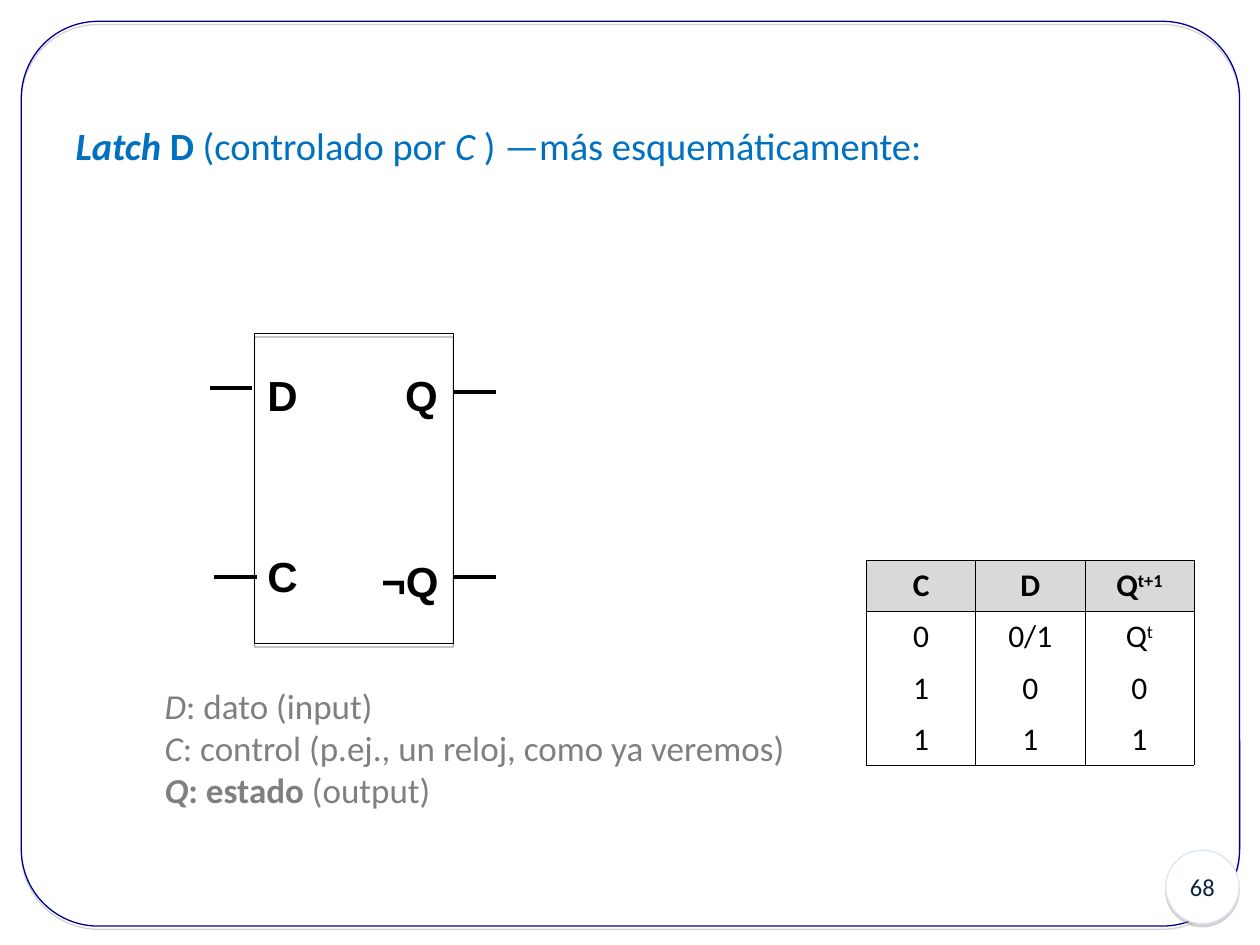
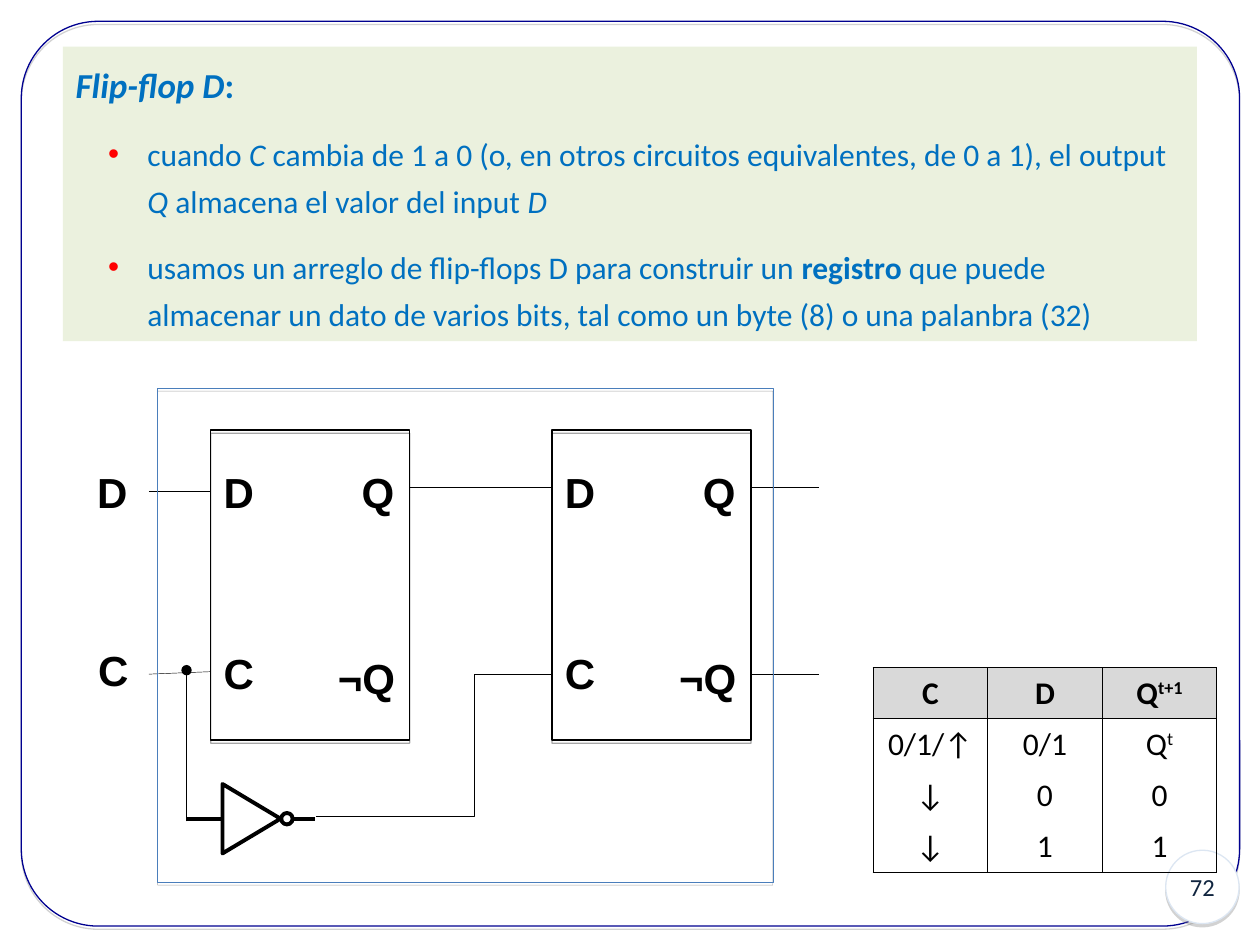
from dataclasses import dataclass

from lxml import etree
from pptx import Presentation
from pptx.dml.color import RGBColor
from pptx.enum.shapes import MSO_CONNECTOR, MSO_SHAPE
from pptx.enum.text import MSO_ANCHOR, MSO_AUTO_SIZE, PP_ALIGN
from pptx.oxml.ns import qn
from pptx.util import Cm, Pt

STRAIGHT, ELBOW = MSO_CONNECTOR.STRAIGHT, MSO_CONNECTOR.ELBOW
RECT, ROUND_RECT = MSO_SHAPE.RECTANGLE, MSO_SHAPE.ROUNDED_RECTANGLE
OVAL, TRIANGLE = MSO_SHAPE.OVAL, MSO_SHAPE.ISOSCELES_TRIANGLE
LEFT, CENTER = PP_ALIGN.LEFT, PP_ALIGN.CENTER
TOP, MIDDLE, BOTTOM = MSO_ANCHOR.TOP, MSO_ANCHOR.MIDDLE, MSO_ANCHOR.BOTTOM
NO_FIT, GROW = MSO_AUTO_SIZE.NONE, MSO_AUTO_SIZE.SHAPE_TO_FIT_TEXT


@dataclass(frozen=True)
class Theme:
    body_font: str = "Calibri"
    label_font: str = "Arial"
    black: str = "000000"
    white: str = "FFFFFF"
    blue: str = "0070C0"
    gray: str = "7F7F7F"
    frame: str = "000090"
    badge_line: str = "DCE6F2"
    badge_text: str = "10253F"
    panel: str = "EBF1DE"
    bullet: str = "FF0000"
    header: str = "D9D9D9"
    outline: str = "4A7EBB"
    soft_shadow: str = "808080"
    title_size: float = 22
    heading_size: float = 20
    text_size: float = 18
    label_size: float = 24
    badge_size: float = 14
    line_spacing: float = 1.25
    hairline: float = 0.25
    border: float = 0.45
    thin: float = 0.75
    stub: float = 2
    thick: float = 2.25


T = Theme()
LATCH_W, LATCH_H = 4.01, 6.25


def rgb(value):
    return RGBColor.from_string(value)


def sub(parent, tag, **attrs):
    return etree.SubElement(parent, qn(tag), attrs)


def add_runs(p, runs, size, color, font=T.body_font):
    for text, style in runs:
        r = p.add_run()
        r.text = text
        r.font.name, r.font.size = font, Pt(size)
        r.font.color.rgb = rgb(color)
        r.font.bold, r.font.italic = "b" in style, "i" in style
        if "^" in style:
            r.font._element.set("baseline", "30000")


def add_shadow(sp, color):
    effects = sp._element.spPr.find(qn("a:effectLst"))
    shadow = sub(effects, "a:outerShdw", blurRad="0", dist=str(Pt(1.8)),
                 dir="5400000", rotWithShape="0")
    sub(sub(shadow, "a:srgbClr", val=color), "a:alpha", val="35000")


def add_shape(shapes, kind, box, line=None, width=T.thin, fill=None, shadow=None):
    sp = shapes.add_shape(kind, *map(Cm, box))
    sp.shadow.inherit = False
    if fill:
        sp.fill.solid()
        sp.fill.fore_color.rgb = rgb(fill)
    else:
        sp.fill.background()
    if line:
        sp.line.color.rgb = rgb(line)
        sp.line.width = Pt(width)
    else:
        sp.line.fill.background()
    if shadow:
        add_shadow(sp, shadow)
    return sp


def add_wire(shapes, x1, y1, x2, y2, width=T.hairline, kind=STRAIGHT):
    wire = shapes.add_connector(kind, Cm(x1), Cm(y1), Cm(x2), Cm(y2))
    wire.line.color.rgb = rgb(T.black)
    wire.line.width = Pt(width)
    sub(wire._element.spPr, "a:effectLst")
    return wire


def add_label(shapes, text, x, y, w):
    tf = shapes.add_textbox(Cm(x), Cm(y), Cm(w), Cm(1.28)).text_frame
    tf.word_wrap = True
    tf.auto_size = GROW
    tf.margin_right = 0
    add_runs(tf.paragraphs[0], [(text, "b")], T.label_size, T.black, T.label_font)


def add_frame(s, number):
    frame = add_shape(s.shapes, ROUND_RECT, (0.43, 0.43, 24.56, 18.24), T.frame,
                      shadow=T.soft_shadow)
    frame.adjustments[0] = 0.085
    badge = add_shape(s.shapes, OVAL, (23.5, 17.14, 1.48, 1.48), T.badge_line,
                      fill=T.white, shadow=T.soft_shadow)
    tf = badge.text_frame
    tf.vertical_anchor = MIDDLE
    tf.paragraphs[0].alignment = CENTER
    add_runs(tf.paragraphs[0], [(number, "")], T.badge_size, T.badge_text)


def set_title(s, runs, box, size, anchor):
    title = s.shapes.title
    title.left, title.top, title.width, title.height = map(Cm, box)
    tf = title.text_frame
    tf.word_wrap = True
    tf.auto_size = NO_FIT
    tf.vertical_anchor = anchor
    p = tf.paragraphs[0]
    p.alignment, p.line_spacing = LEFT, T.line_spacing
    add_runs(p, runs, size, T.blue)


def add_panel(s, box, bullets):
    panel = add_shape(s.shapes, RECT, box, fill=T.panel)
    s.shapes._spTree.insert(2, panel._element)
    tf = panel.text_frame
    tf.word_wrap = True
    tf.vertical_anchor = BOTTOM
    tf.margin_bottom = Cm(0.17)
    for i, runs in enumerate(bullets):
        p = tf.add_paragraph() if i else tf.paragraphs[0]
        p.alignment, p.line_spacing = LEFT, T.line_spacing
        if i:
            p.space_before = Pt(10.5)
        pPr = p._p.get_or_add_pPr()
        pPr.set("marL", str(Cm(1.45)))
        pPr.set("indent", str(Cm(-0.79)))
        sub(sub(pPr, "a:buClr"), "a:srgbClr", val=T.bullet)
        sub(pPr, "a:buFont", typeface=T.label_font)
        sub(pPr, "a:buChar", char="•")
        add_runs(p, runs, T.text_size, T.blue)


def add_legend(s, box, lines):
    tf = s.shapes.add_textbox(*map(Cm, box)).text_frame
    tf.word_wrap = True
    for i, runs in enumerate(lines):
        p = tf.add_paragraph() if i else tf.paragraphs[0]
        add_runs(p, runs, T.heading_size, T.gray)


def set_borders(cell, sides):
    tcPr = cell._tc.get_or_add_tcPr()
    for side in "LRTB":
        ln = sub(tcPr, f"a:ln{side}", w=str(Pt(T.border)))
        if side in sides:
            sub(sub(ln, "a:solidFill"), "a:srgbClr", val=T.black)
        else:
            sub(ln, "a:noFill")


def add_truth_table(s, x, y, col_w, inputs):
    header = [[("C", "b")], [("D", "b")], [("Q", "b"), ("t+1", "b^")]]
    outputs = [[("Q", ""), ("t", "^")], [("0", "")], [("1", "")]]
    rows = [header] + [[[(c, "")], [(d, "")], q] for (c, d), q in zip(inputs, outputs)]
    row_h = 1.03
    table = s.shapes.add_table(len(rows), 3, Cm(x), Cm(y), Cm(3 * col_w),
                               Cm(row_h * len(rows))).table
    table.first_row = table.horz_banding = False
    for col in table.columns:
        col.width = Cm(col_w)
    for i, row in enumerate(rows):
        table.rows[i].height = Cm(row_h)
        sides = "LR" + ("T" if i < 2 else "") + ("B" if i in (0, len(rows) - 1) else "")
        for j, runs in enumerate(row):
            cell = table.cell(i, j)
            set_borders(cell, sides)
            if i:
                cell.fill.background()
            else:
                cell.fill.solid()
                cell.fill.fore_color.rgb = rgb(T.header)
            p = cell.text_frame.paragraphs[0]
            p.alignment = CENTER
            add_runs(p, runs, T.text_size, T.black)


def add_latch(shapes, x, y):
    add_shape(shapes, RECT, (x, y, LATCH_W, LATCH_H), T.black, shadow=T.black)
    for text, dx, dy, w in (("D", 0.01, 0.6, 1.12), ("Q", 2.79, 0.6, 1.17),
                            ("C", 0.01, 4.25, 1.12), ("¬Q", 2.31, 4.35, 1.65)):
        add_label(shapes, text, x + dx, y + dy, w)


def add_latch_with_stubs(s, x, y):
    add_latch(s.shapes, x, y)
    right = x + LATCH_W
    for x1, x2, dy in ((x - 0.89, x - 0.05, 1.09), (x - 0.81, x + 0.05, 4.9),
                       (right, right + 0.86, 1.17), (right, right + 0.86, 4.9)):
        add_wire(s.shapes, x1, y + dy, x2, y + dy, T.stub)


def add_inverter(shapes, x, y):
    add_wire(shapes, x, y, x + 0.74, y, T.thick)
    add_wire(shapes, x + 2.11, y, x + 2.6, y, T.thick)
    add_shape(shapes, OVAL, (x + 1.91, y - 0.12, 0.23, 0.23), T.black, T.thick)
    gate = add_shape(shapes, TRIANGLE, (x + 0.61, y - 0.59, 1.4, 1.17), T.black, T.thick)
    gate.rotation = 90


def add_flip_flop(s, x, y, w, h):
    shapes = s.shapes.add_group_shape().shapes
    first, second, latch_y = x + 1.07, x + 7.95, y + 0.85
    out = second + LATCH_W
    d_y, q_y, c_y = y + 2.08, y + 2.01, y + 5.77
    tap_x, inverter_y, bend_x = x + 0.58, y + 8.69, x + 7.14
    for latch_x in (first, second):
        add_latch(shapes, latch_x, latch_y)
    add_label(shapes, "D", x - 1.47, y + 1.45, 1.12)
    add_label(shapes, "C", x - 1.45, y + 5.05, 1.12)
    for ends in ((x - 0.18, d_y, first, d_y), (x - 0.18, c_y, first, c_y - 0.05),
                 (first + LATCH_W, q_y, second, q_y), (bend_x, c_y, second, c_y),
                 (out, q_y, out + 1.38, q_y), (out, c_y, out + 1.38, c_y)):
        add_wire(shapes, *ends)
    add_inverter(shapes, tap_x, inverter_y)
    tap = add_wire(shapes, tap_x, inverter_y + 0.05, tap_x, c_y - 0.08)
    sub(tap.line._get_or_add_ln(), "a:tailEnd", type="oval")
    feed = add_wire(shapes, x + 3.2, inverter_y - 0.05, bend_x, c_y, kind=ELBOW)
    guides = feed._element.spPr.find(qn("a:prstGeom")).find(qn("a:avLst"))
    sub(guides, "a:gd", name="adj1", fmla="val 80600")
    add_shape(shapes, RECT, (x, y, w, h), T.outline, T.hairline, shadow=T.black)


def build_latch_slide(prs):
    s = prs.slides.add_slide(prs.slide_layouts[5])
    add_frame(s, "68")
    set_title(s, [("Latch", "bi"), (" D", "b"), (" (controlado por ", ""), ("C", "i"),
                  (" ) —más esquemáticamente:", "")],
              (1.27, 0.76, 22.86, 4.11), T.title_size, MIDDLE)
    add_truth_table(s, 17.47, 11.3, 2.2, [("0", "0/1"), ("1", "0"), ("1", "1")])
    add_legend(s, (3.07, 13.67, 13.03, 3.66), [
        [("D", "i"), (": dato (input)", "")],
        [("C", "i"), (": control (p.ej., un reloj, como ya veremos)", "")],
        [("Q", "bi"), (": estado", "b"), (" (output)", "")]])
    add_latch_with_stubs(s, 5.13, 6.73)


def build_flip_flop_slide(prs):
    s = prs.slides.add_slide(prs.slide_layouts[5])
    add_frame(s, "72")
    set_title(s, [("Flip-flop D", "bi"), (":", "b")],
              (1.27, 0.94, 22.86, 1.4), T.heading_size, TOP)
    add_panel(s, (1.27, 0.94, 22.86, 5.94), [
        [("cuando ", ""), ("C", "i"),
         (" cambia de 1 a 0 (o, en otros circuitos equivalentes, de 0 a 1), el output ", ""),
         ("Q", "i"), (" almacena el valor del input ", ""), ("D", "i")],
        [("usamos un arreglo de flip-flops D para construir un ", ""), ("registro", "b"),
         (" que puede almacenar un dato de varios bits, tal como un byte (8) "
          "o una palanbra (32)", "")]])
    add_truth_table(s, 17.6, 13.46, 2.31, [("0/1/↑", "0/1"), ("↓", "0"), ("↓", "1")])
    add_flip_flop(s, 3.18, 7.82, 12.4, 9.96)


def main():
    prs = Presentation()
    prs.slide_width, prs.slide_height = Cm(25.4), Cm(19.05)
    build_latch_slide(prs)
    build_flip_flop_slide(prs)
    prs.save("out.pptx")


if __name__ == "__main__":
    main()
